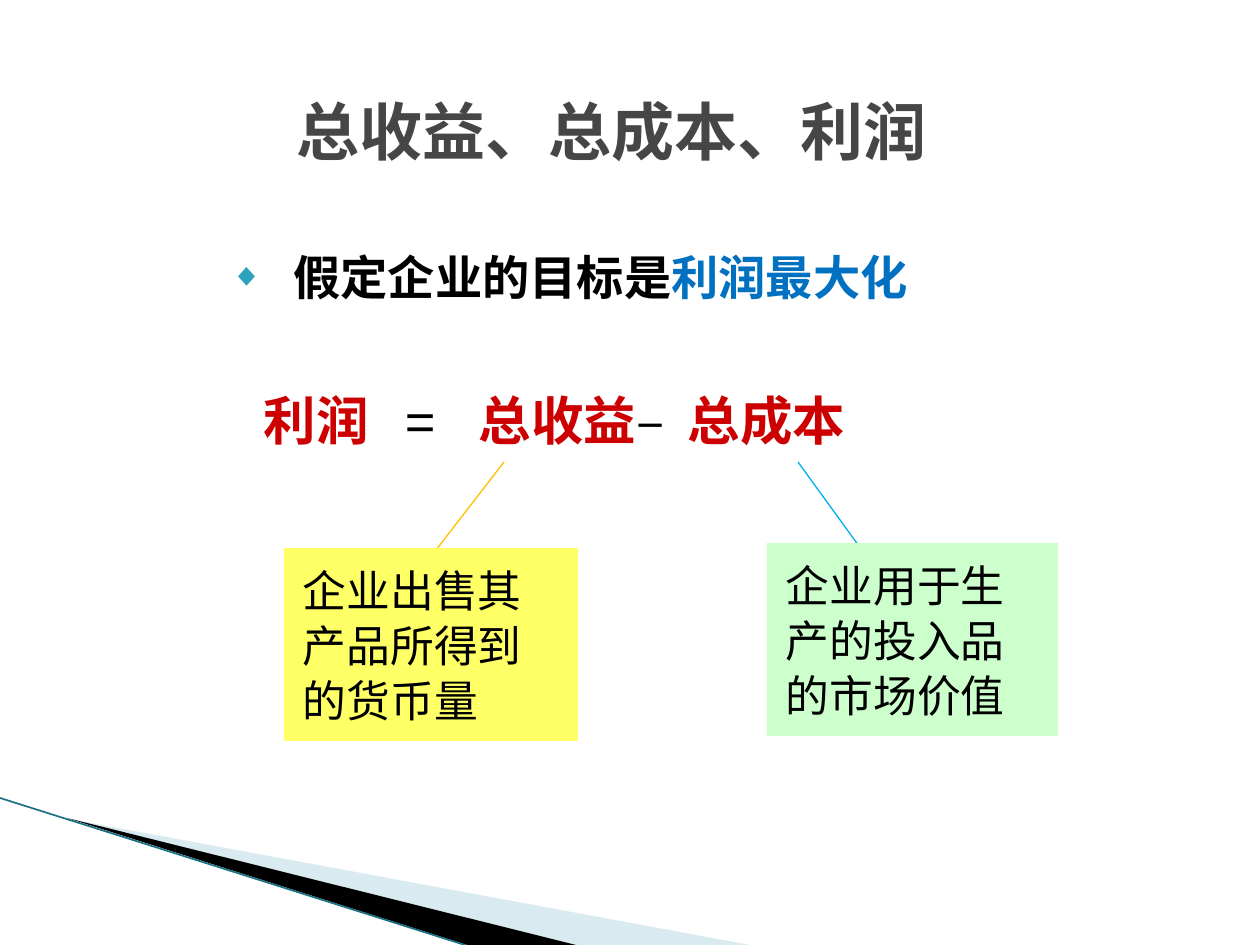
from lxml import etree
from pptx import Presentation
from pptx.dml.color import RGBColor
from pptx.enum.shapes import MSO_CONNECTOR, MSO_SHAPE
from pptx.enum.text import MSO_ANCHOR, MSO_AUTO_SIZE, PP_ALIGN
from pptx.oxml.ns import qn
from pptx.util import Pt

PX = 914400 / 126
RECT, STRAIGHT = MSO_SHAPE.RECTANGLE, MSO_CONNECTOR.STRAIGHT
TOP, MIDDLE = MSO_ANCHOR.TOP, MSO_ANCHOR.MIDDLE
LEFT, CENTER = PP_ALIGN.LEFT, PP_ALIGN.CENTER
RED, BLACK = "CC0000", "000000"


def px(n):
    return round(n * PX)


def rgb(color):
    return RGBColor.from_string(color)


def add_text(sp, runs, size, font, align=LEFT, anchor=TOP, inset=(13, 6), spacing=1.0):
    """Fill the shape with one paragraph; runs are (text, colour, bold)."""
    tf = sp.text_frame
    tf.word_wrap = True
    tf.auto_size = MSO_AUTO_SIZE.NONE
    tf.vertical_anchor = anchor
    tf.margin_left = tf.margin_right = px(inset[0])
    tf.margin_top = tf.margin_bottom = px(inset[1])
    p = tf.paragraphs[0]
    p.alignment, p.line_spacing, p.space_before = align, spacing, Pt(0)
    for text, color, bold in runs:
        r = p.add_run()
        r.text = text
        r.font.size, r.font.name, r.font.bold = Pt(size), font, bold
        r.font.color.rgb = rgb(color)
    return p


def add_line(s, start, end, color, width):
    line = s.shapes.add_connector(STRAIGHT, *map(px, start + end))
    line.line.color.rgb = rgb(color)
    line.line.width = Pt(width)
    etree.SubElement(line._element.spPr, qn("a:effectLst"))


prs = Presentation()
prs.slide_width, prs.slide_height = px(1260), px(945)
s = prs.slides.add_slide(prs.slide_layouts[1])

# Corner wedges
wedges = [
    ([(69, 819), (750, 945), (575, 945)], "A0CBDC", 40),
    ([(67, 818), (576, 945), (467, 945)], BLACK, 100),
]
for points, color, opacity in wedges:
    fb = s.shapes.build_freeform(*points[0], scale=PX)
    fb.add_line_segments(points[1:])
    wedge = fb.convert_to_shape()
    wedge.shadow.inherit = False
    wedge.fill.solid()
    wedge.fill.fore_color.rgb = rgb(color)
    wedge.line.fill.background()
    if opacity < 100:
        clr = wedge._element.spPr.find(qn("a:solidFill"))[0]
        etree.SubElement(clr, qn("a:alpha"), val=str(opacity * 1000))
add_line(s, (0, 798), (465, 945), "1A7185", 0.95)

# Title and assumption
title, body = s.placeholders
for sp, box in ((title, (32, 84, 1159, 93)), (body, (21, 242, 1081, 139))):
    sp.left, sp.top, sp.width, sp.height = map(px, box)
add_text(title, [("总收益、总成本、利润", "464646", True)], 36, "Courier New", CENTER, MIDDLE)
p = add_text(body, [("假定企业的目标是", BLACK, True), ("利润最大化", "0070C0", True)],
             27, "Courier New", CENTER)
pPr = p._p.get_or_add_pPr()
pPr.set("marL", str(px(78)))
pPr.set("indent", str(px(-63)))
bu_clr = etree.SubElement(pPr, qn("a:buClr"))
etree.SubElement(bu_clr, qn("a:srgbClr"), val="2DA2BF")
etree.SubElement(pPr, qn("a:buSzPct"), val="68000")
etree.SubElement(pPr, qn("a:buChar"), char="◆")

# Profit equation, its terms set on tab stops
equation = s.shapes.add_textbox(*map(px, (82, 382, 944, 77)))
terms = [("利润", RED, True), ("\t=\t", BLACK, False), ("总收益", RED, True),
         ("–\t", BLACK, False), ("总成本", RED, True)]
p = add_text(equation, terms, 30, "Arial")
equation.text_frame.margin_left = px(182)
tabs = etree.SubElement(p._p.get_or_add_pPr(), qn("a:tabLst"))
for stop in (141, 215, 424):
    etree.SubElement(tabs, qn("a:tab"), pos=str(px(stop)), algn="l")

# Explanations of the two terms
notes = [
    ("企业出售其产品所得到的货币量", (284, 548, 294, 193), "FFFF66",
     (504, 462), (433, 554), "FFC000"),
    ("企业用于生产的投入品的市场价值", (767, 543, 291, 193), "CCFFCC",
     (798, 462), (864, 553), "00B0F0"),
]
for text, box, fill, start, end, line_color in notes:
    add_line(s, start, end, line_color, 0.75)
    note = s.shapes.add_shape(RECT, *map(px, box))
    note.shadow.inherit = False
    note.fill.solid()
    note.fill.fore_color.rgb = rgb(fill)
    note.line.fill.background()
    add_text(note, [(text, BLACK, False)], 25, "Arial", inset=(19, 13), spacing=1.05)

prs.save("out.pptx")
